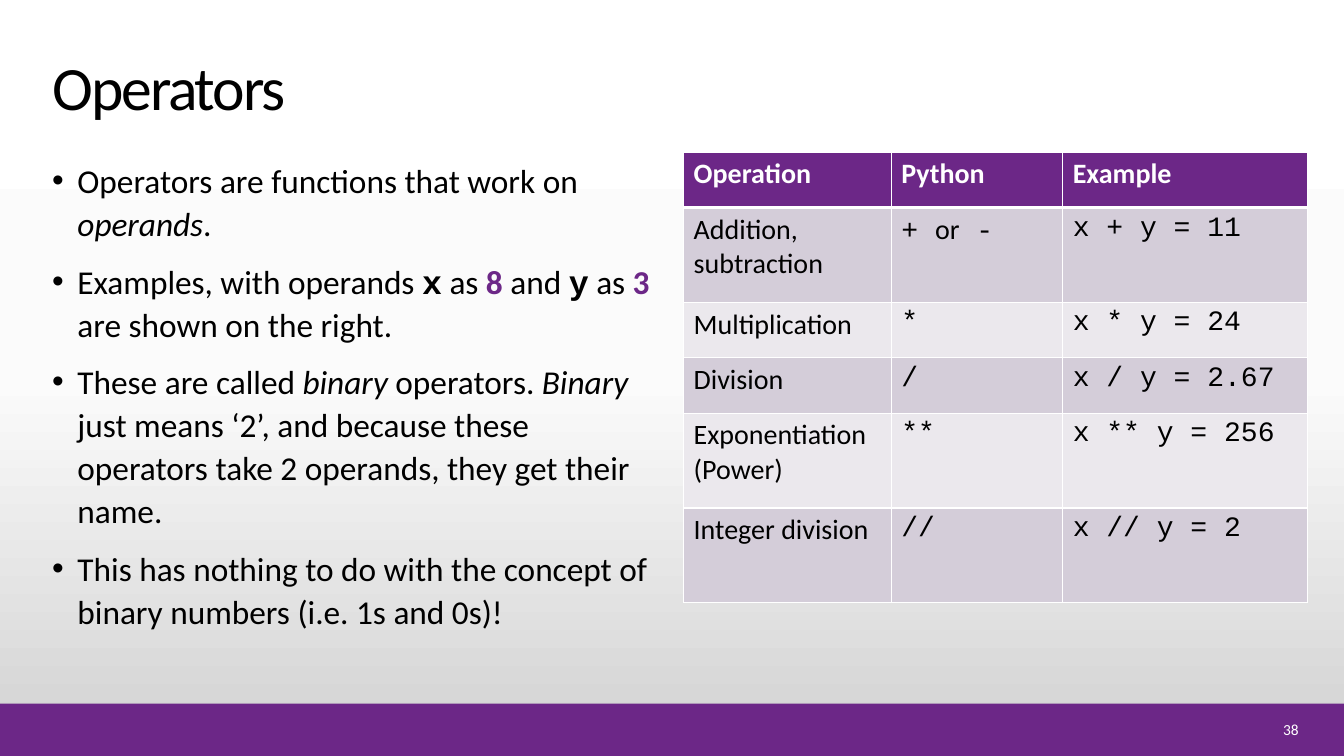
"""Build the Operators slide: bullets on the left, a table of operators on the right."""
from copy import deepcopy

from lxml.etree import SubElement
from pptx import Presentation
from pptx.dml.color import RGBColor
from pptx.enum.shapes import MSO_SHAPE as Shape
from pptx.enum.text import MSO_ANCHOR as Anchor, PP_ALIGN as Align
from pptx.oxml import parse_xml
from pptx.oxml.ns import nsdecls, qn
from pptx.util import Inches, Pt

PURPLE, BLACK, WHITE = "6C2787", "000000", "FFFFFF"
BANDS = ("D4CDD9", "EBE8ED")
BACKDROP = ((0, "FFFFFF"), (0.5, "FBFBFB"), (1, "D1D1D1"))
STYLES = {
    "plain": {},
    "italic": {"italic": True},
    "code": {"font": "Courier New"},
    "operand": {"font": "Courier New", "bold": True},
    "value": {"color": PURPLE, "bold": True},
    "header": {"color": WHITE, "bold": True},
}

TITLE = "Operators"
PAGE_NUMBER = "38"
BULLETS = [
    [("Operators are functions that work on ", "plain"), ("operands", "italic"), (".", "plain")],
    [("Examples, with operands ", "plain"), ("x", "operand"), (" as ", "plain"), ("8", "value"),
     (" and ", "plain"), ("y", "operand"), (" as ", "plain"), ("3", "value"),
     (" are shown on the right.", "plain")],
    [("These are called ", "plain"), ("binary", "italic"), (" operators. ", "plain"),
     ("Binary", "italic"),
     (" just means ‘2’, and because these operators take 2 operands, they get their name.",
      "plain")],
    [("This has nothing to do with the concept of binary numbers (i.e. 1s and 0s)!", "plain")],
]
HEADERS = ("Operation", "Python", "Example")
OPERATIONS = [
    (("Addition,", "subtraction"), [("+ ", "code"), ("or", "plain"), (" -", "code")], "x + y = 11"),
    (("Multiplication",), [("*", "code")], "x * y = 24"),
    (("Division",), [("/", "code")], "x / y = 2.67"),
    (("Exponentiation (Power)",), [("**", "code")], "x ** y = 256"),
    (("Integer division",), [("//", "code")], "x // y = 2"),
]
COLUMN_WIDTHS = (2.06, 1.7, 2.43)
ROW_HEIGHTS = (0.55, 0.94, 0.55, 0.55, 0.94, 0.94)


def rgb(value):
    return RGBColor.from_string(value)


def add_span(para, text, size, color=BLACK, font="Calibri", bold=False, italic=False):
    span = para.add_run()
    span.text = text
    span.font.size, span.font.name = Pt(size), font
    span.font.bold, span.font.italic = bold, italic
    span.font.color.rgb = rgb(color)
    return span


def write(frame, paragraphs, size):
    for index, spans in enumerate(paragraphs):
        para = frame.add_paragraph() if index else frame.paragraphs[0]
        for text, style in spans:
            add_span(para, text, size, **STYLES[style])


def add_box(page, left, top, width, height):
    box = page.shapes.add_textbox(Inches(left), Inches(top), Inches(width), Inches(height))
    box.text_frame.word_wrap = True
    return box.text_frame


def paint_background(page):
    fill = page.background.fill
    fill.gradient()
    fill.gradient_angle = 270
    first = fill.gradient_stops[0]._gs
    first.addnext(deepcopy(first))
    for stop, (position, color) in zip(fill.gradient_stops, BACKDROP):
        stop.position = position
        stop.color.rgb = rgb(color)


def add_title(page):
    title = page.shapes.title
    title.left, title.top = Inches(0.42), Inches(0.4)
    title.width, title.height = Inches(10.39), Inches(0.87)
    title.text_frame.vertical_anchor = Anchor.BOTTOM
    para = title.text_frame.paragraphs[0]
    para.alignment = Align.LEFT
    span = add_span(para, TITLE, 44)
    span.font._element.set("spc", "-150")


def add_bullets(page):
    frame = add_box(page, 0.42, 1.51, 6.16, 5.25)
    write(frame, BULLETS, 23.8)
    for index, para in enumerate(frame.paragraphs):
        para.line_spacing = 1.08
        if index:
            para.space_before = Pt(10)
        props = para._p.get_or_add_pPr()
        props.set("marL", str(Inches(0.25)))
        props.set("indent", str(-Inches(0.25)))
        SubElement(props, qn("a:buFont")).set("typeface", "Arial")
        SubElement(props, qn("a:buChar")).set("char", "•")


def set_borders(cell, top, bottom):
    props = cell._tc.get_or_add_tcPr()
    widths = (("lnL", 1), ("lnR", 1), ("lnT", top), ("lnB", bottom))
    for index, (side, width) in enumerate(widths):
        props.insert(index, parse_xml(
            f'<a:{side} {nsdecls("a")} w="{Pt(width)}"><a:solidFill>'
            f'<a:srgbClr val="{WHITE}"/></a:solidFill></a:{side}>'))


def add_operator_table(page):
    rows = [[[[(name, "header")]] for name in HEADERS]]
    for names, symbols, example in OPERATIONS:
        rows.append([[[(name, "plain")] for name in names], [symbols], [[(example, "code")]]])
    table = page.shapes.add_table(
        len(rows), len(HEADERS), Inches(6.78), Inches(1.51),
        Inches(sum(COLUMN_WIDTHS)), Inches(sum(ROW_HEIGHTS))).table
    for column, width in zip(table.columns, COLUMN_WIDTHS):
        column.width = Inches(width)
    for row, height in zip(table.rows, ROW_HEIGHTS):
        row.height = Inches(height)
    for r, row in enumerate(rows):
        for c, paragraphs in enumerate(row):
            cell = table.cell(r, c)
            write(cell.text_frame, paragraphs, 20)
            cell.fill.solid()
            cell.fill.fore_color.rgb = rgb(BANDS[(r - 1) % 2] if r else PURPLE)
            set_borders(cell, top=3 if r == 1 else 1, bottom=3 if r == 0 else 1)


def add_footer(page):
    bar = page.shapes.add_shape(
        Shape.RECTANGLE, 0, Inches(6.98), Inches(13.33), Inches(0.52))
    bar.shadow.inherit = False
    bar.fill.solid()
    bar.fill.fore_color.rgb = rgb(PURPLE)
    bar.line.fill.background()
    frame = add_box(page, 12.23, 7.12, 0.75, 0.23)
    frame.vertical_anchor = Anchor.MIDDLE
    para = frame.paragraphs[0]
    para.alignment = Align.RIGHT
    add_span(para, PAGE_NUMBER, 11, WHITE)


def main():
    deck = Presentation()
    deck.slide_width, deck.slide_height = Inches(13.33), Inches(7.5)
    page = deck.slides.add_slide(deck.slide_layouts[5])
    paint_background(page)
    add_title(page)
    add_bullets(page)
    add_operator_table(page)
    add_footer(page)
    deck.save("out.pptx")


if __name__ == "__main__":
    main()
